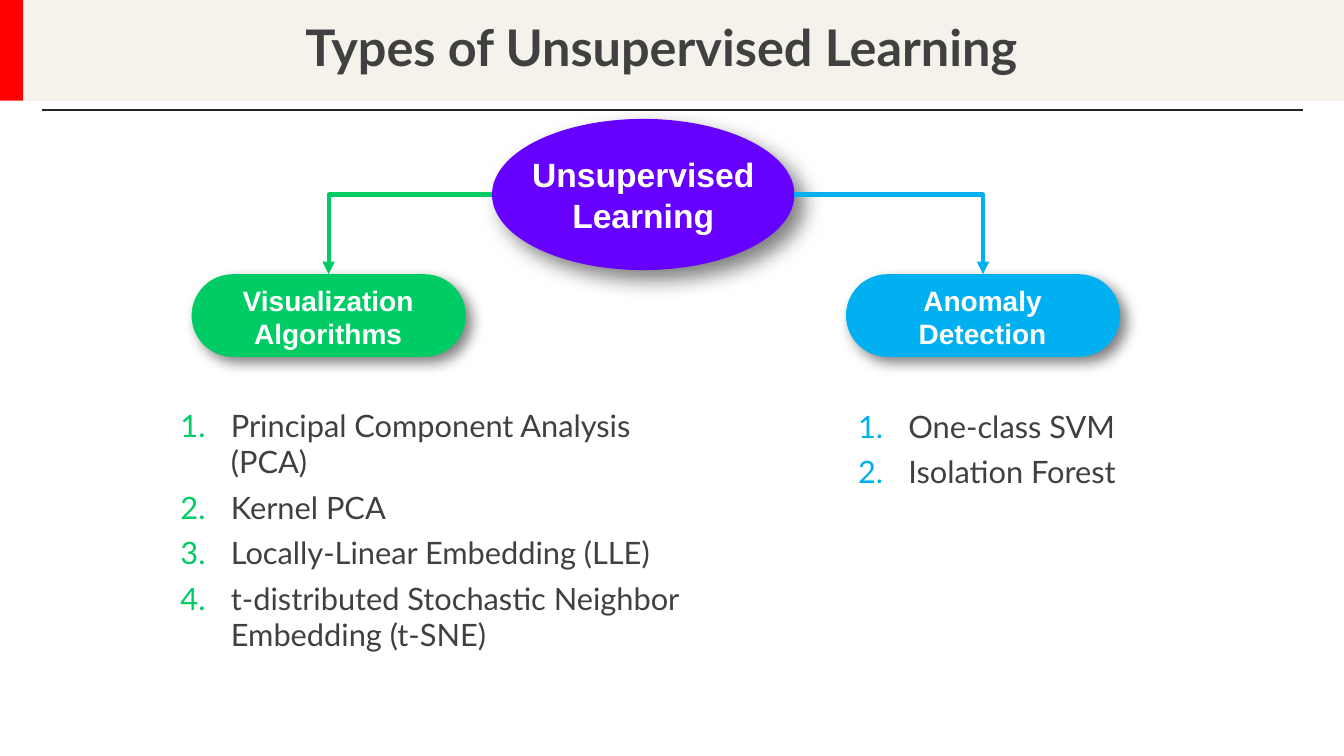
from dataclasses import dataclass

from lxml.etree import SubElement
from pptx import Presentation
from pptx.dml.color import RGBColor
from pptx.enum.shapes import MSO_CONNECTOR, MSO_SHAPE
from pptx.enum.text import MSO_ANCHOR, MSO_AUTO_SIZE, PP_ALIGN
from pptx.oxml.ns import qn
from pptx.util import Emu, Pt

EMU_PER_PX = 9144


@dataclass(frozen=True)
class Theme:
    band: str = "F5F1EB"
    accent: str = "FF0000"
    rule: str = "262626"
    body_text: str = "404040"
    label_text: str = "FFFFFF"
    root: str = "6600FF"
    visualization: str = "00CC66"
    anomaly: str = "00B0F0"
    shadow: str = "000000"
    heading_font: str = "Lato"
    label_font: str = "Arial"
    title_size: int = 36
    root_size: int = 24
    branch_size: int = 20
    list_size: int = 22


THEME = Theme()


@dataclass(frozen=True)
class Box:
    left: int
    top: int
    width: int
    height: int

    def emu(self) -> list[Emu]:
        return [px(n) for n in (self.left, self.top, self.width, self.height)]

    @property
    def center_x(self) -> int:
        return self.left + self.width // 2

    @property
    def center_y(self) -> int:
        return self.top + self.height // 2


@dataclass(frozen=True)
class Node:
    label: str
    box: Box
    label_box: Box
    preset: MSO_SHAPE
    color: str
    size: int
    blur: int
    distance: int


@dataclass(frozen=True)
class Branch:
    node: Node
    list_box: Box
    methods: tuple[str, ...]


def px(count: int) -> Emu:
    return Emu(count * EMU_PER_PX)


def pill(label: str, left: int, color: str) -> Node:
    return Node(label, Box(left, 272, 272, 82), Box(left - 7, 276, 285, 77),
                MSO_SHAPE.ROUNDED_RECTANGLE, color, THEME.branch_size, 10, 6)


ROOT = Node("Unsupervised Learning", Box(488, 118, 300, 150), Box(503, 148, 270, 81),
            MSO_SHAPE.OVAL, THEME.root, THEME.root_size, 15, 10)
BRANCHES = (
    Branch(pill("Visualization Algorithms", 190, THEME.visualization), Box(169, 398, 528, 257),
           ("Principal Component Analysis (PCA)", "Kernel PCA",
            "Locally-Linear Embedding (LLE)",
            "t-distributed Stochastic Neighbor Embedding (t-SNE)")),
    Branch(pill("Anomaly\nDetection", 839, THEME.anomaly), Box(841, 399, 313, 93),
           ("One-class SVM", "Isolation Forest")),
)


def place(shape, box: Box) -> None:
    shape.left, shape.top, shape.width, shape.height = box.emu()


def style_text(frame, font: str, size: int, color: str, bold: bool,
               align: PP_ALIGN, spacing: float = 1.0) -> None:
    frame.word_wrap = True
    for paragraph in frame.paragraphs:
        paragraph.alignment = align
        paragraph.line_spacing = spacing
        for run in paragraph.runs:
            run.font.name = font
            run.font.size = Pt(size)
            run.font.bold = bold
            run.font.color.rgb = RGBColor.from_string(color)


def draw_shape(slide, preset: MSO_SHAPE, box: Box, color: str):
    shape = slide.shapes.add_shape(preset, *box.emu())
    shape.fill.solid()
    shape.fill.fore_color.rgb = RGBColor.from_string(color)
    shape.line.fill.background()
    shape.shadow.inherit = False
    return shape


def draw_line(slide, kind: MSO_CONNECTOR, start: tuple[int, int], end: tuple[int, int],
              color: str, weight: float):
    line = slide.shapes.add_connector(kind, *(px(n) for n in start + end))
    line.line.color.rgb = RGBColor.from_string(color)
    line.line.width = Pt(weight)
    SubElement(line._element.spPr, qn("a:effectLst"))
    return line


def draw_node(slide, node: Node) -> None:
    shape = draw_shape(slide, node.preset, node.box, node.color)
    if node.preset == MSO_SHAPE.ROUNDED_RECTANGLE:
        shape.adjustments[0] = 0.5
    effects = shape._element.spPr.find(qn("a:effectLst"))
    shadow = SubElement(effects, qn("a:outerShdw"), blurRad=str(Pt(node.blur)),
                        dist=str(Pt(node.distance)), dir=str(45 * 60000),
                        algn="tl", rotWithShape="0")
    tint = SubElement(shadow, qn("a:srgbClr"), val=THEME.shadow)
    SubElement(tint, qn("a:alpha"), val="50000")
    caption = slide.shapes.add_textbox(*node.label_box.emu()).text_frame
    caption.text = node.label
    style_text(caption, THEME.label_font, node.size, THEME.label_text, True, PP_ALIGN.CENTER)


def draw_arrow(slide, source: Box, target: Node) -> None:
    goes_left = target.box.center_x < source.left
    start_x = source.left if goes_left else source.left + source.width
    arrow = draw_line(slide, MSO_CONNECTOR.ELBOW, (start_x, source.center_y),
                      (target.box.center_x, target.box.top), target.color, 3)
    arrow._element.spPr.find(qn("a:prstGeom")).set("prst", "bentConnector2")
    SubElement(arrow.line._get_or_add_ln(), qn("a:tailEnd"), type="triangle")


def fill_list(placeholder, branch: Branch) -> None:
    place(placeholder, branch.list_box)
    frame = placeholder.text_frame
    frame.text = "\n".join(branch.methods)
    frame.auto_size = MSO_AUTO_SIZE.SHAPE_TO_FIT_TEXT
    for index, paragraph in enumerate(frame.paragraphs):
        properties = paragraph._p.get_or_add_pPr()
        properties.set("marL", str(px(50)))
        properties.set("indent", str(-px(50)))
        bullet_color = SubElement(properties, qn("a:buClr"))
        SubElement(bullet_color, qn("a:srgbClr"), val=branch.node.color)
        SubElement(properties, qn("a:buFont"), typeface=THEME.heading_font)
        SubElement(properties, qn("a:buAutoNum"), type="arabicPeriod")
        paragraph.space_before = Pt(6 if index else 0)
    style_text(frame, THEME.heading_font, THEME.list_size, THEME.body_text, False, PP_ALIGN.LEFT)


def draw_header(slide) -> None:
    draw_shape(slide, MSO_SHAPE.RECTANGLE, Box(23, 0, 1310, 100), THEME.band)
    title = slide.shapes.title
    slide.shapes._spTree.append(title._element)
    place(title, Box(63, 0, 1186, 100))
    frame = title.text_frame
    frame.text = "Types of Unsupervised Learning"
    frame.auto_size = MSO_AUTO_SIZE.NONE
    frame.vertical_anchor = MSO_ANCHOR.MIDDLE
    style_text(frame, THEME.heading_font, THEME.title_size, THEME.body_text, True,
               PP_ALIGN.CENTER, 0.9)
    draw_shape(slide, MSO_SHAPE.RECTANGLE, Box(0, 0, 23, 100), THEME.accent)
    draw_line(slide, MSO_CONNECTOR.STRAIGHT, (42, 109), (1292, 109), THEME.rule, 1.5)


def main() -> None:
    presentation = Presentation()
    presentation.slide_width = px(1333)
    presentation.slide_height = px(750)
    slide = presentation.slides.add_slide(presentation.slide_layouts[3])
    draw_header(slide)
    draw_node(slide, ROOT)
    for position, branch in enumerate(BRANCHES, start=1):
        draw_node(slide, branch.node)
        draw_arrow(slide, ROOT.box, branch.node)
        fill_list(slide.placeholders[position], branch)
    presentation.save("out.pptx")


if __name__ == "__main__":
    main()
